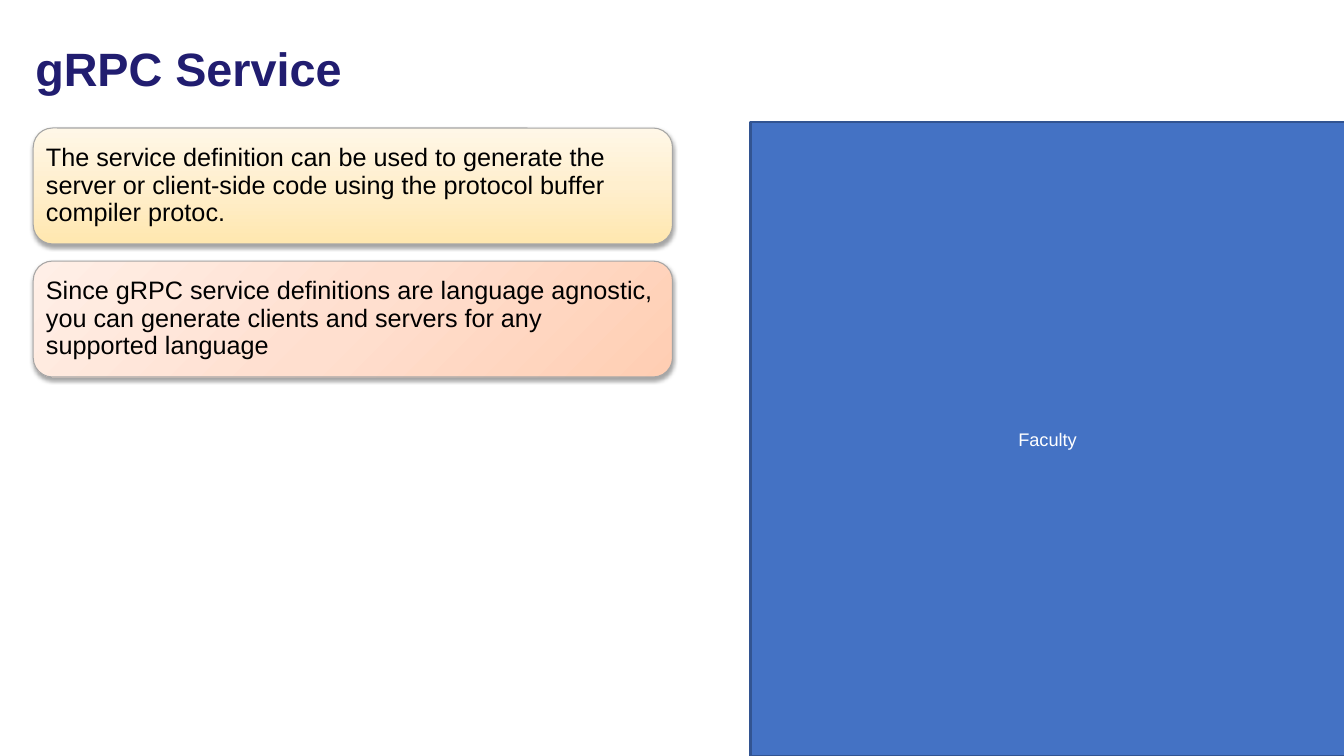
"""Build the gRPC Service slide."""
import copy
import dataclasses

import lxml.etree
import pptx
import pptx.dml.color
import pptx.enum.shapes
import pptx.enum.text
import pptx.oxml.ns
import pptx.util

Inches = pptx.util.Inches
Pt = pptx.util.Pt
Kind = pptx.enum.shapes.MSO_SHAPE
Align = pptx.enum.text.PP_ALIGN
qn = pptx.oxml.ns.qn


@dataclasses.dataclass
class Card:
    text: str
    stops: tuple[str, str, str]
    angle: int


CARDS = [
    Card("The service definition can be used to generate the server or client-side code "
         "using the protocol buffer compiler protoc.",
         ("FFE7AF", "FFEFCE", "FFF7E7"), 90),
    Card("Since gRPC service definitions are language agnostic, you can generate clients "
         "and servers for any supported language",
         ("FFCEB3", "FFDFCF", "FFEFE7"), 135),
]
CARD_LEFT, CARD_TOP, CARD_WIDTH, CARD_HEIGHT = 0.33, 1.27, 6.34, 1.15
CARD_STEP = 1.32


def color(value: str) -> pptx.dml.color.RGBColor:
    return pptx.dml.color.RGBColor.from_string(value)


def write(shape, text: str, size: float, ink: str, align=Align.LEFT,
          spacing: float = 1.0, bold: bool = False) -> None:
    frame = shape.text_frame
    frame.text = text
    frame.word_wrap = True
    frame.auto_size = pptx.enum.text.MSO_AUTO_SIZE.NONE
    frame.vertical_anchor = pptx.enum.text.MSO_ANCHOR.MIDDLE
    para = frame.paragraphs[0]
    para.alignment = align
    para.line_spacing = spacing
    para.font.name = "Arial"
    para.font.size = Pt(size)
    para.font.bold = bold
    para.font.color.rgb = color(ink)


def add_box(page, kind, left: float, top: float, width: float, height: float,
            edge: str, weight: float):
    box = page.shapes.add_shape(kind, Inches(left), Inches(top), Inches(width), Inches(height))
    box.shadow.inherit = False
    box.line.color.rgb = color(edge)
    box.line.width = Pt(weight)
    return box


def fill_gradient(box, card: Card) -> None:
    box.fill.gradient()
    box.fill.gradient_angle = card.angle
    stop_list = box._element.spPr.find(".//" + qn("a:gsLst"))
    stop_list.insert(1, copy.deepcopy(stop_list[0]))
    for index, (stop, value) in enumerate(zip(box.fill.gradient_stops, card.stops)):
        stop.position = index / 2
        stop.color.rgb = color(value)


def add_shadow(box) -> None:
    effects = box._element.spPr.find(qn("a:effectLst"))
    shadow = lxml.etree.SubElement(
        effects, qn("a:outerShdw"), blurRad=str(Pt(3.1)), dist=str(Pt(1.8)),
        dir="5400000", algn="ctr", rotWithShape="0")
    shade = lxml.etree.SubElement(shadow, qn("a:srgbClr"), val="000000")
    lxml.etree.SubElement(shade, qn("a:alpha"), val="35000")


def add_card(page, card: Card, top: float) -> None:
    box = add_box(page, Kind.ROUNDED_RECTANGLE, CARD_LEFT, top, CARD_WIDTH, CARD_HEIGHT,
                  "A6A6A6", 0.75)
    fill_gradient(box, card)
    add_shadow(box)
    write(box, card.text, 18, "000000", spacing=0.9)
    frame = box.text_frame
    frame.margin_left = frame.margin_right = Inches(0.07)
    frame.margin_top = frame.margin_bottom = Inches(0.07)


def main() -> None:
    deck = pptx.Presentation()
    deck.slide_width, deck.slide_height = Inches(13.33), Inches(7.5)
    page = deck.slides.add_slide(deck.slide_layouts.get_by_name("Title Only"))

    title = page.shapes.title
    title.left, title.top = Inches(0.25), Inches(0.25)
    title.width, title.height = Inches(11.81), Inches(0.91)
    write(title, "gRPC Service", 33.4, "211D70", spacing=0.9, bold=True)

    panel = add_box(page, Kind.RECTANGLE, 7.44, 1.21, 5.9, 6.29, "325491", 2)
    panel.fill.solid()
    panel.fill.fore_color.rgb = color("4472C4")
    write(panel, "Faculty", 13, "FFFFFF", align=Align.CENTER)

    for index, card in enumerate(CARDS):
        add_card(page, card, CARD_TOP + index * CARD_STEP)

    deck.save("out.pptx")


if __name__ == "__main__":
    main()
